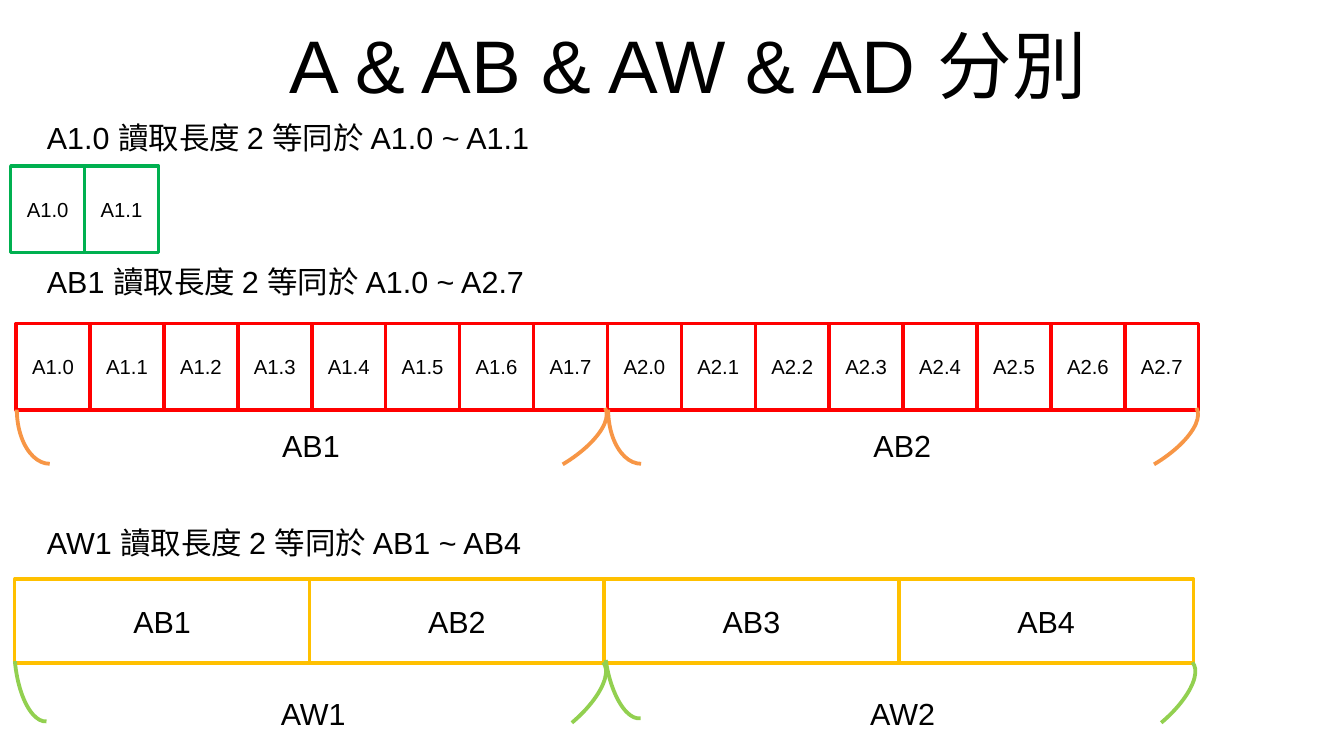
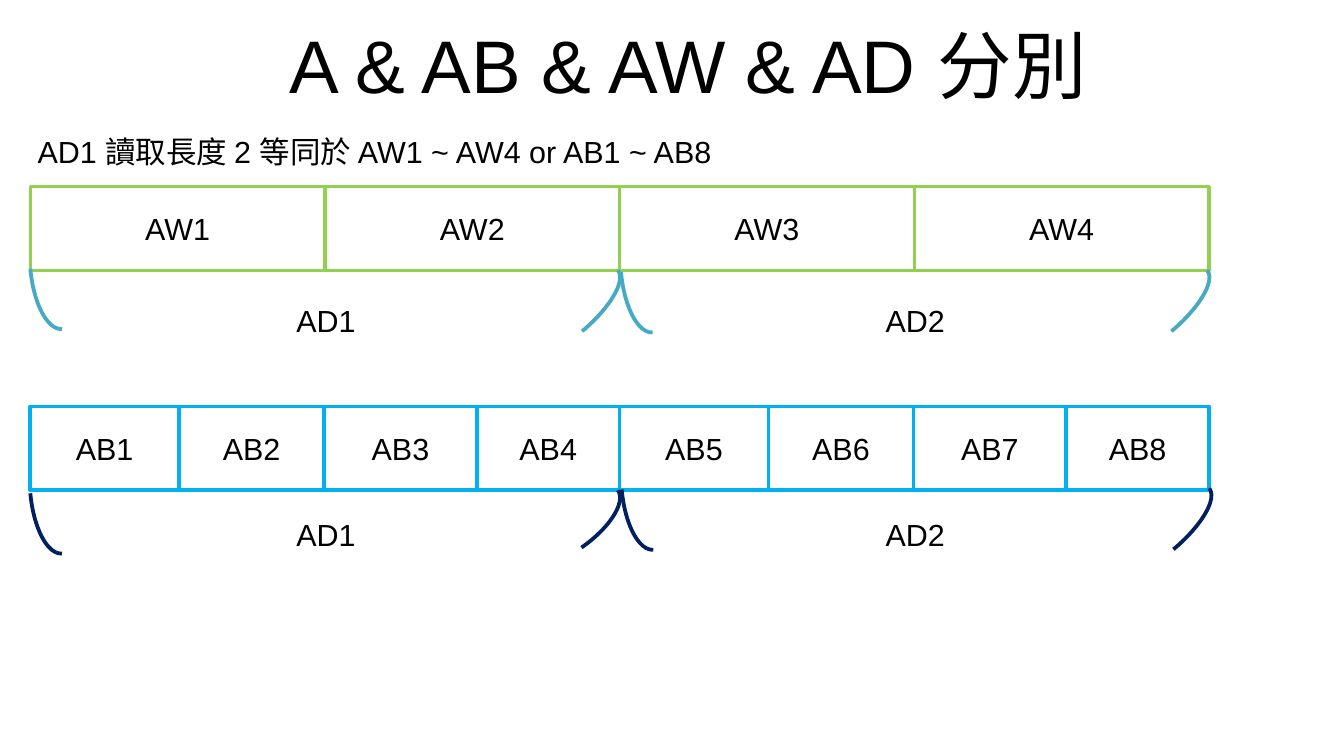
import pptx
import pptx.util
import pptx.dml.color
import pptx.enum.shapes
import pptx.enum.text

RGB = pptx.dml.color.RGBColor
KIND = pptx.enum.shapes.MSO_SHAPE
ALIGN = pptx.enum.text.PP_ALIGN
ANCHOR = pptx.enum.text.MSO_ANCHOR

BLACK = RGB(0x00, 0x00, 0x00)
RED = RGB(0xFF, 0x00, 0x00)
GREEN = RGB(0x00, 0xB0, 0x50)
LIME = RGB(0x92, 0xD0, 0x50)
GOLD = RGB(0xFF, 0xC0, 0x00)
ORANGE = RGB(0xF7, 0x96, 0x46)
TEAL = RGB(0x46, 0xAA, 0xC5)
SKY = RGB(0x00, 0xB0, 0xF0)
NAVY = RGB(0x00, 0x20, 0x60)

FONT = "Arial"
TITLE = "A & AB & AW & AD 分別"
BODY, SMALL = 18, 12

deck = pptx.Presentation()
deck.slide_width = pptx.util.Inches(11.02)
deck.slide_height = pptx.util.Inches(6.2)


def place(box):
    """Turn a box in percent of the slide into lengths."""
    x, y, w, h = box
    wide, high = deck.slide_width / 100, deck.slide_height / 100
    return [round(n) for n in (x * wide, y * high, w * wide, h * high)]


def write(shape, text, size, align=None):
    """Put one run of text into a shape."""
    para = shape.text_frame.paragraphs[0]
    para.alignment = align
    run = para.add_run()
    run.text = text
    run.font.name = FONT
    run.font.size = pptx.util.Pt(size)
    run.font.color.rgb = BLACK


def label(slide, box, text):
    """Add a line of body text."""
    note = slide.shapes.add_textbox(*place(box))
    note.text_frame.word_wrap = True
    write(note, text, BODY)


def outline(slide, kind, box, color, width):
    """Add an unfilled shape with a coloured line."""
    shape = slide.shapes.add_shape(kind, *place(box))
    shape.shadow.inherit = False
    shape.fill.background()
    shape.line.color.rgb = color
    shape.line.width = pptx.util.Pt(width)
    return shape


def page():
    """Add a blank slide with the shared title."""
    slide = deck.slides.add_slide(deck.slide_layouts[6])
    head = slide.shapes.add_textbox(*place((6.2, 0, 90, 16.8)))
    frame = head.text_frame
    frame.word_wrap = True
    frame.vertical_anchor = ANCHOR.MIDDLE
    frame.margin_left = frame.margin_right = 0
    frame.margin_top = frame.margin_bottom = 0
    write(head, TITLE, 44, ALIGN.CENTER)
    return slide


def cells(slide, box, names, color, size=BODY, parts=None):
    """Split a box into a row of named cells, by parts or evenly."""
    x, y, w, h = box
    parts = parts or [1] * len(names)
    for name, part in zip(names, parts):
        wide = w * part / sum(parts)
        cell = outline(slide, KIND.RECTANGLE, (x, y, wide, h), color, 2)
        cell.text_frame.margin_left = cell.text_frame.margin_right = 0
        write(cell, name, size, ALIGN.CENTER)
        x += wide


def braces(slide, box, names, color, hooks, drop):
    """Hang a named brace under each equal span of a row.

    A hook is (dx, dy, w, h, turn) from the lower corner of its span.
    """
    x, y, w, h = box
    span, base = w / len(names), y + h
    for i, (name, pair) in enumerate(zip(names, hooks)):
        left = x + i * span
        for edge, (dx, dy, wide, high, turn) in zip((left, left + span), pair):
            spot = (edge + dx, base + dy, wide, high)
            outline(slide, KIND.ARC, spot, color, 2.25).rotation = turn
        label(slide, (left + 18.9, base + drop, 7.25, 6.45), name)


def series(stem, count):
    """Number names from 1."""
    return [f"{stem}{n}" for n in range(1, count + 1)]


def bits(*words):
    """Name the eight bits of each word."""
    return [f"A{word}.{bit}" for word in words for bit in range(8)]


def first():
    """Build the slide on bits, bytes and words."""
    slide = page()
    for y, text in ((15, "A1.0 讀取長度 2 等同於 A1.0 ~ A1.1"),
                    (34, "AB1 讀取長度 2 等同於 A1.0 ~ A2.7"),
                    (68.5, "AW1 讀取長度 2 等同於 AB1 ~ AB4")):
        label(slide, (2.6, y, 43.4, 6.45), text)
    cells(slide, (0.8, 21.95, 11, 11.45), bits(1)[:2], GREEN, SMALL)

    row = (1.2, 42.8, 88, 11.45)
    cells(slide, row, bits(1, 2), RED, SMALL)
    pair = ((0.05, -7.25, 4.9, 14.35, 180), (-6.35, -4.5, 4, 17.25, 59.3))
    braces(slide, row, series("AB", 2), ORANGE, [pair] * 2, 1.45)

    row = (1.1, 76.6, 87.7, 11.1)
    cells(slide, row, series("AB", 4), GOLD)
    end = (-5.6, -3.05, 3.9, 16.6, 50.1)
    hooks = [((0, -8.85, 3.9, 16.6, 175), end),
             ((0.1, -9.2, 3.9, 16.6, 171.8), end)]
    braces(slide, row, series("AW", 2), LIME, hooks, 3.4)


def second():
    """Build the slide on double words."""
    slide = page()
    label(slide, (1.9, 16.8, 77, 6.45),
          "AD1 讀取長度 2 等同於 AW1 ~ AW4 or AB1 ~ AB8")
    names = series("AD", 2)

    row = (2.25, 24.7, 87.7, 11.1)
    cells(slide, row, series("AW", 4), LIME)
    end = (-5.7, -3.2, 3.55, 17.6, 50.1)
    hooks = [((0, -8.85, 3.9, 16.6, 175), end),
             ((0.1, -8.4, 3.9, 16.6, 175), end)]
    braces(slide, row, names, TEAL, hooks, 3.4)

    row = (2.25, 53.75, 87.7, 11.1)
    cells(slide, row, series("AB", 8), SKY, parts=[1.22, 1.19, 1.25, 1.17] * 2)
    hooks = [((0, -8.2, 3.9, 16.6, 175), (-5.9, -3.55, 3.9, 16.6, 55.1)),
             ((0.15, -8.7, 3.9, 16.6, 175), (-5.55, -3.4, 3.55, 17.6, 50.1))]
    braces(slide, row, names, NAVY, hooks, 2.6)


first()
second()
deck.save("out.pptx")
